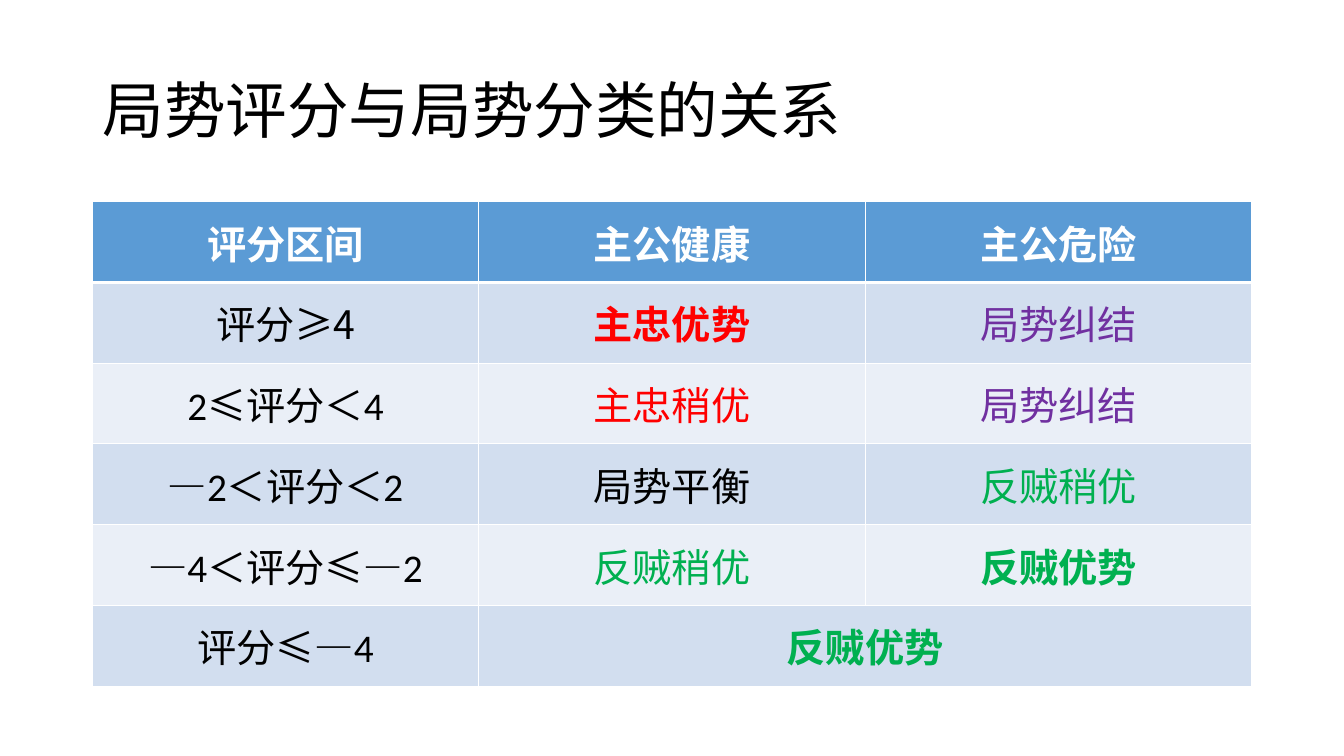
import pptx
import pptx.dml.color
import pptx.enum.text
import pptx.oxml.ns
import pptx.util
from lxml import etree

TITLE = "局势评分与局势分类的关系"
HEADERS = ["评分区间", "主公健康", "主公危险"]
RANGES = [
    ["评分≥4"],
    ["2", "≤", "评分", "＜", "4"],
    ["―", "2", "＜", "评分", "＜", "2"],
    ["―", "4", "＜", "评分", "≤―", "2"],
    ["评分", "≤―", "4"],
]
SITUATIONS = [
    ["主忠优势", "局势纠结"],
    ["主忠稍优", "局势纠结"],
    ["局势平衡", "反贼稍优"],
    ["反贼稍优", "反贼优势"],
    ["反贼优势"],
]
SIDE_COLORS = {"主忠": "FF0000", "反贼": "00B050"}
SITUATION_COLORS = {"局势纠结": "7030A0"}
BLACK, WHITE = "000000", "FFFFFF"
HEADER_FILL = "5B9BD5"
BAND_FILLS = ["D2DEEF", "EAEFF7"]
SYMBOLS = "≥≤＜―"
LATIN_FONT, CHINESE_FONT = "Calibri", "Noto Sans CJK SC"
LEFT, WIDTH = 66, 828
TITLE_TOP, TITLE_HEIGHT = 28.75, 104.4
TABLE_TOP, ROW_HEIGHT = 144, 57.7

Pt = pptx.util.Pt
qn = pptx.oxml.ns.qn


def color(value):
    return pptx.dml.color.RGBColor.from_string(value)


def add_run(paragraph, text, size, text_color, bold=False):
    run = paragraph.add_run()
    run.text = text
    font = run.font
    font.size = Pt(size)
    font.bold = bold
    font.color.rgb = color(text_color)
    has_symbol = any(character in SYMBOLS for character in text)
    font.name = CHINESE_FONT if has_symbol else LATIN_FONT
    properties = run._r.get_or_add_rPr()
    etree.SubElement(properties, qn("a:ea"), typeface=CHINESE_FONT)


def add_borders(cell, top, bottom):
    properties = cell._tc.get_or_add_tcPr()
    for side, width in (("L", 1), ("R", 1), ("T", top), ("B", bottom)):
        line = etree.SubElement(properties, qn("a:ln" + side), w=str(Pt(width)))
        fill = etree.SubElement(line, qn("a:solidFill"))
        etree.SubElement(fill, qn("a:srgbClr"), val=WHITE)


def fill_cell(cell, parts, text_color, bold):
    cell.vertical_anchor = pptx.enum.text.MSO_ANCHOR.MIDDLE
    paragraph = cell.text_frame.paragraphs[0]
    paragraph.alignment = pptx.enum.text.PP_ALIGN.CENTER
    for part in parts:
        add_run(paragraph, part, 28, text_color, bold)


def situation_color(text):
    return SITUATION_COLORS.get(text, SIDE_COLORS.get(text[:2], BLACK))


def add_title(slide):
    title = slide.shapes.title
    title.left, title.top = Pt(LEFT), Pt(TITLE_TOP)
    title.width, title.height = Pt(WIDTH), Pt(TITLE_HEIGHT)
    title.text_frame.vertical_anchor = pptx.enum.text.MSO_ANCHOR.MIDDLE
    paragraph = title.text_frame.paragraphs[0]
    paragraph.alignment = pptx.enum.text.PP_ALIGN.LEFT
    paragraph.line_spacing = 0.9
    add_run(paragraph, TITLE, 44, BLACK)


def add_score_table(slide):
    row_count, column_count = len(RANGES) + 1, len(HEADERS)
    table = slide.shapes.add_table(
        row_count, column_count, Pt(LEFT), Pt(TABLE_TOP),
        Pt(WIDTH), Pt(ROW_HEIGHT * row_count)).table
    for column in table.columns:
        column.width = Pt(WIDTH / column_count)
    for index, row in enumerate(table.rows):
        row.height = Pt(ROW_HEIGHT)
        row_fill = BAND_FILLS[(index - 1) % 2] if index else HEADER_FILL
        for cell in row.cells:
            add_borders(cell, 3 if index == 1 else 1, 1 if index else 3)
            cell.fill.solid()
            cell.fill.fore_color.rgb = color(row_fill)
    table.cell(row_count - 1, 1).merge(table.cell(row_count - 1, 2))

    for column, header in enumerate(HEADERS):
        fill_cell(table.cell(0, column), [header], WHITE, True)
    for row, (parts, situations) in enumerate(zip(RANGES, SITUATIONS), 1):
        fill_cell(table.cell(row, 0), parts, BLACK, False)
        for column, text in enumerate(situations, 1):
            fill_cell(table.cell(row, column), [text],
                      situation_color(text), text.endswith("优势"))


def main():
    presentation = pptx.Presentation()
    presentation.slide_width = Pt(960)
    presentation.slide_height = Pt(540)
    slide = presentation.slides.add_slide(presentation.slide_layouts[5])
    add_title(slide)
    add_score_table(slide)
    presentation.save("out.pptx")


if __name__ == "__main__":
    main()
